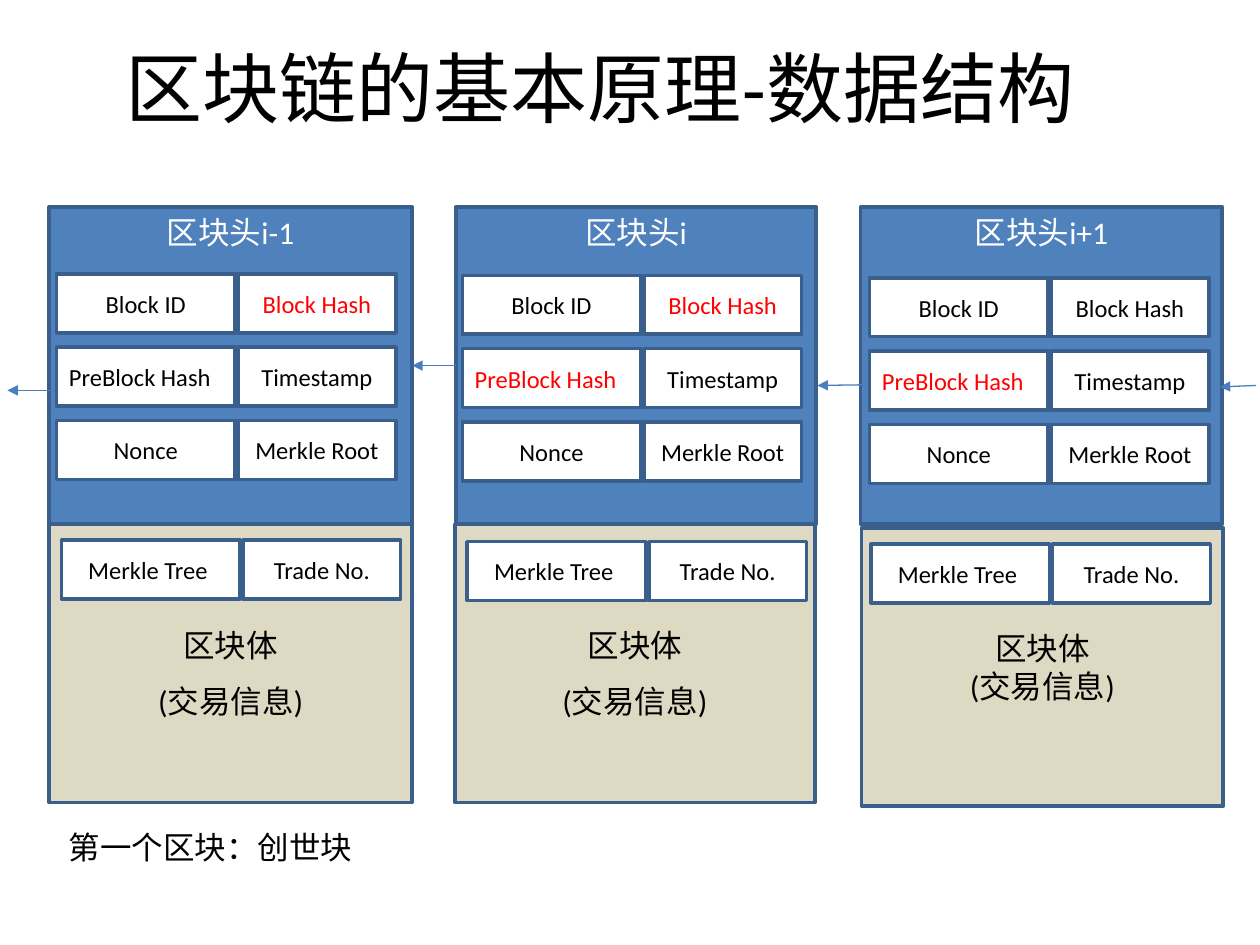
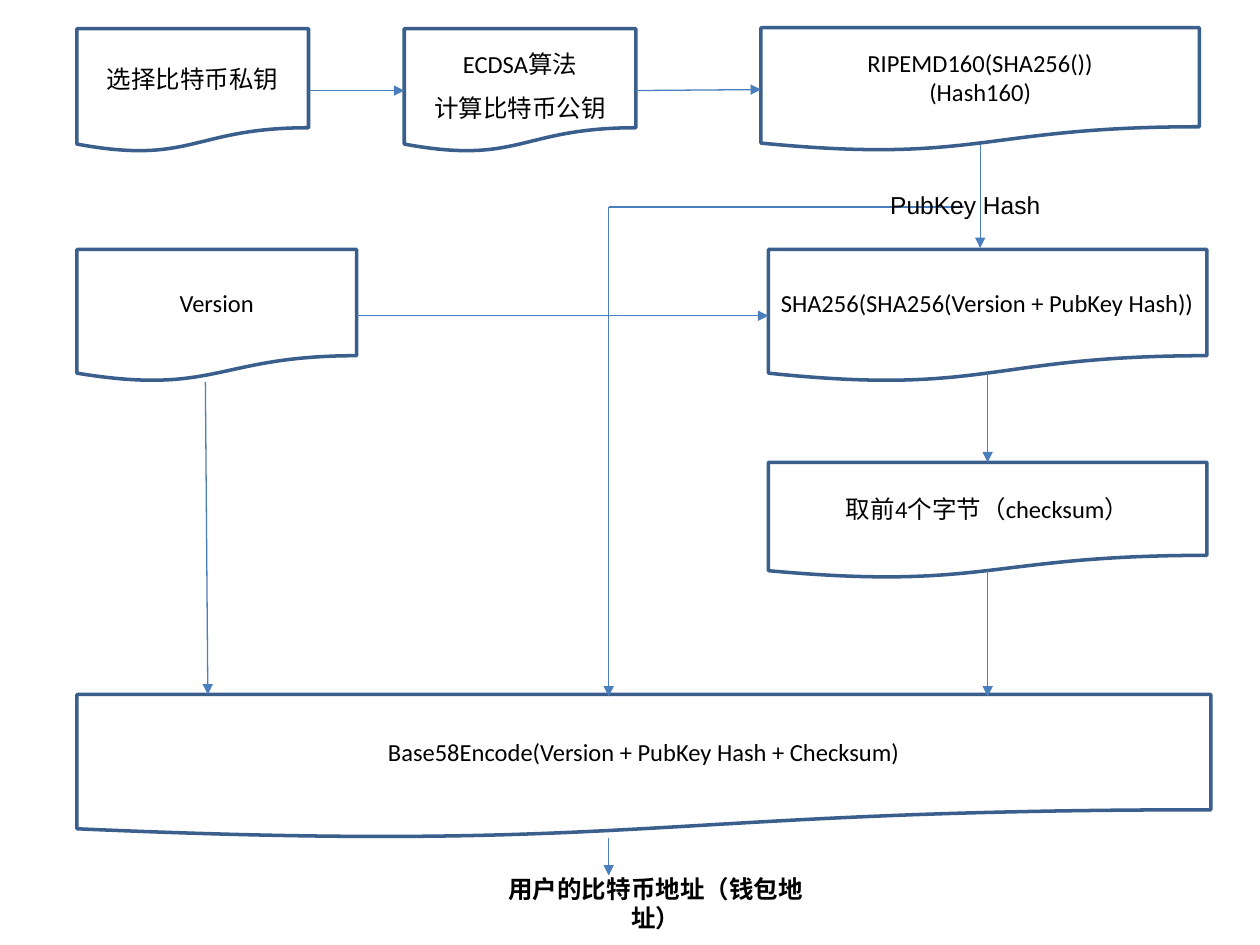
from pptx import Presentation
from pptx.dml.color import RGBColor
from pptx.enum.shapes import MSO_CONNECTOR, MSO_SHAPE
from pptx.enum.text import MSO_ANCHOR, PP_ALIGN
from pptx.oxml.ns import qn
from pptx.util import Cm, Pt
from lxml import etree

RECTANGLE = MSO_SHAPE.RECTANGLE
DOCUMENT = MSO_SHAPE.FLOWCHART_DOCUMENT
STRAIGHT = MSO_CONNECTOR.STRAIGHT
LEFT, CENTER = PP_ALIGN.LEFT, PP_ALIGN.CENTER
TOP, MIDDLE = MSO_ANCHOR.TOP, MSO_ANCHOR.MIDDLE
TOP_SIDE, LEFT_SIDE, RIGHT_SIDE = 0, 1, 3

BLACK, WHITE, RED = "000000", "FFFFFF", "FF0000"
HEAD_BLUE, BODY_SAND = "4F81BD", "DDD9C3"
OUTLINE, ARROW = "3A5F8C", "4B7EBC"
BODY_FONT, LABEL_FONT = "Calibri", "Arial"

FIELD_WIDTHS = (3.6, 3.18)
FIELD_HEIGHT = 1.19
COLUMN_STEP, ROW_STEP = 3.66, 1.48
BODY_ROW = 5.37
HEADER_FIELDS = (
    ("Block ID", "Block Hash"),
    ("PreBlock Hash", "Timestamp"),
    ("Nonce", "Merkle Root"),
)
BODY_FIELDS = ("Merkle Tree ", "Trade No.")


def color(hex_code):
    return RGBColor.from_string(hex_code)


def write(shape, lines, size=14, ink=BLACK, font=BODY_FONT, align=CENTER,
          anchor=MIDDLE, spacing=None, bold=False, wrap=True):
    frame = shape.text_frame
    frame.word_wrap = wrap
    frame.vertical_anchor = anchor
    for index, line in enumerate(lines):
        para = frame.paragraphs[0] if index == 0 else frame.add_paragraph()
        para.text = line
        para.alignment = align
        if spacing:
            para.line_spacing = spacing
        para.font.size = Pt(size)
        para.font.name = font
        para.font.bold = bold
        para.font.color.rgb = color(ink)


def add_box(page, place, lines, kind=RECTANGLE, fill=WHITE, outline=OUTLINE, **style):
    box = page.shapes.add_shape(kind, *map(Cm, place))
    box.shadow.inherit = False
    box.fill.solid()
    box.fill.fore_color.rgb = color(fill)
    if outline:
        box.line.color.rgb = color(outline)
        box.line.width = Pt(2)
    else:
        box.line.fill.background()
    write(box, lines, **style)
    return box


def add_label(page, place, text, **style):
    label = page.shapes.add_textbox(*map(Cm, place))
    write(label, [text], **style)


def add_line(page, start=(0, 0), end=(0, 0), start_join=None, end_join=None, head=True):
    line = page.shapes.add_connector(STRAIGHT, *map(Cm, (*start, *end)))
    if start_join:
        line.begin_connect(*start_join)
    if end_join:
        line.end_connect(*end_join)
    line.line.color.rgb = color(ARROW)
    line.line.width = Pt(0.75)
    if head:
        outline = line.line._get_or_add_ln()
        etree.SubElement(outline, qn("a:tailEnd"), type="triangle")
    etree.SubElement(line._element.spPr, qn("a:effectLst"))


def add_field_row(page, left, top, names, red_fields=()):
    for column, name in enumerate(names):
        place = (left + column * COLUMN_STEP, top, FIELD_WIDTHS[column], FIELD_HEIGHT)
        add_box(page, place, [name], ink=RED if name in red_fields else BLACK,
                align=LEFT if name == "PreBlock Hash" else CENTER)


def add_block_fields(page, left, top, body_shift, red_fields):
    for row, names in enumerate(HEADER_FIELDS):
        add_field_row(page, left, top + row * ROW_STEP, names, red_fields)
    add_field_row(page, left + body_shift, top + BODY_ROW, BODY_FIELDS)


def build_data_structure(page):
    add_label(page, (0.43, 0.66, 23.34, 2.18), "区块链的基本原理-数据结构", size=44)

    heads = []
    for name, head_left, body_left, body_top, width, spacing in (
        ("区块头i-1", 0.99, 0.99, 10.57, 7.32, 1.5),
        ("区块头i", 9.19, 9.17, 10.57, 7.26, 1.5),
        ("区块头i+1", 17.35, 17.37, 10.64, 7.29, None),
    ):
        heads.append(add_box(page, (head_left, 4.17, width, 6.4), [name],
                             fill=HEAD_BLUE, size=18, ink=WHITE, anchor=TOP))
        add_box(page, (body_left, body_top, width, 5.61), ["区块体", "(交易信息)"],
                fill=BODY_SAND, size=18, spacing=spacing)

    add_line(page, start_join=(heads[1], LEFT_SIDE), end_join=(heads[0], RIGHT_SIDE))
    for start, end in (
        ((2.11, 7.87), (0.15, 7.87)),
        ((17.98, 7.75), (16.48, 7.77)),
        ((25.32, 7.77), (24.59, 7.8)),
    ):
        add_line(page, start, end)

    add_block_fields(page, 1.14, 5.52, 0.1, ("Block Hash",))
    add_block_fields(page, 9.32, 5.55, 0.1, ("Block Hash", "PreBlock Hash"))
    add_block_fields(page, 17.53, 5.6, 0.03, ("PreBlock Hash",))

    add_label(page, (1.14, 16.56, 6.27, 1.02), "第一个区块：创世块", size=18,
              font=LABEL_FONT, align=LEFT, anchor=TOP, wrap=False)


def build_address_flow(page):
    def add_step(place, *lines, **style):
        return add_box(page, place, lines, kind=DOCUMENT, **style)

    private_key = add_step((1.55, 0.58, 4.67, 2.49), "选择比特币私钥")
    public_key = add_step((8.15, 0.58, 4.67, 2.49), "ECDSA算法", "计算比特币公钥",
                          spacing=1.5)
    key_hash = add_step((15.34, 0.56, 8.84, 2.49), "RIPEMD160(SHA256())", "(Hash160)")
    version = add_step((1.55, 5.03, 5.64, 2.67), "Version")
    double_hash = add_step((15.49, 5.03, 8.84, 2.67),
                           "SHA256(SHA256(Version + PubKey Hash))", align=LEFT)
    checksum = add_step((15.49, 9.32, 8.84, 2.34), "取前4个字节（checksum）")
    add_step((1.55, 14, 22.86, 2.9), "Base58Encode(Version + PubKey Hash + Checksum)")

    for source, target in (
        (private_key, public_key),
        (public_key, key_hash),
        (version, double_hash),
    ):
        add_line(page, start_join=(source, RIGHT_SIDE), end_join=(target, LEFT_SIDE))

    add_line(page, (19.91, 7.52), end_join=(checksum, TOP_SIDE))
    add_line(page, (12.27, 4.17), (19.43, 4.17), head=False)
    for start, end in (
        ((19.76, 2.9), (19.76, 5.0)),
        ((12.27, 4.17), (12.27, 14.04)),
        ((4.14, 7.7), (4.19, 14)),
        ((19.91, 11.51), (19.91, 14.04)),
        ((12.27, 16.9), (12.27, 17.65)),
    ):
        add_line(page, start, end)

    add_label(page, (17.68, 3.71, 3.56, 0.86), "PubKey Hash", font=LABEL_FONT,
              anchor=TOP, wrap=False)
    add_box(page, (9.55, 17.65, 7.34, 1.12), ["用户的比特币地址（钱包地址）"],
            outline=None, bold=True)


def main():
    deck = Presentation()
    deck.slide_width, deck.slide_height = Cm(25.4), Cm(19.05)
    blank = deck.slide_layouts[6]
    for build in (build_data_structure, build_address_flow):
        build(deck.slides.add_slide(blank))
    deck.save("out.pptx")


if __name__ == "__main__":
    main()
